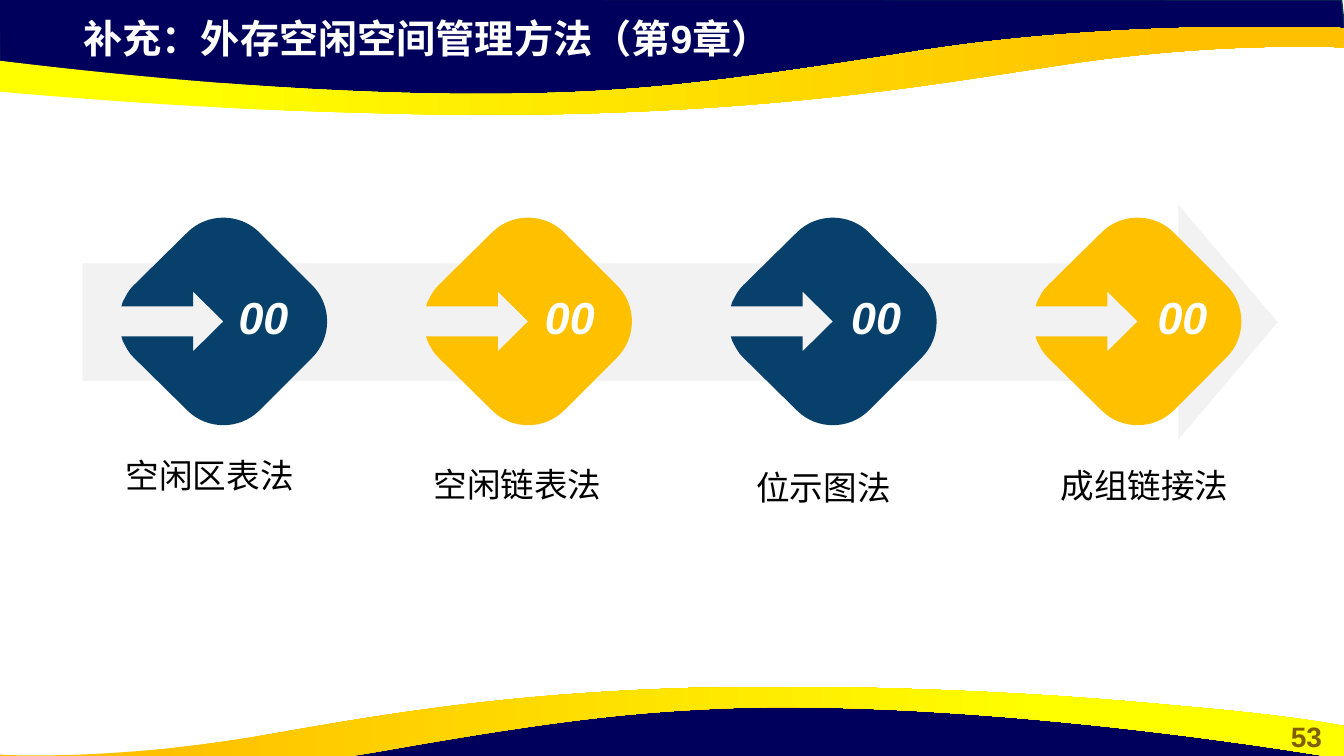
from typing import NamedTuple

from pptx import Presentation
from pptx.dml.color import RGBColor
from pptx.enum.shapes import MSO_SHAPE as Kind
from pptx.enum.text import MSO_ANCHOR as Anchor, MSO_AUTO_SIZE as Fit, PP_ALIGN as Align
from pptx.oxml.ns import qn
from pptx.util import Cm, Pt

NAVY, EDGE, BLUE, GOLD = "00005C", "05304F", "07416B", "FFC000"
YELLOW, GREY, WHITE, BLACK, BROWN = "FFFF00", "F2F2F2", "FFFFFF", "000000", "806000"


class Box(NamedTuple):
    left: float
    top: float
    width: float
    height: float


class Band(NamedTuple):
    """A base outline and the gradient ribbon over it, in cm."""
    base: list
    ribbon: list
    stops: tuple


class Step(NamedTuple):
    label: str
    color: str
    box: Box
    para: dict
    indent: float = 0


# A pair of numbers is a line to a point, six numbers are a Bézier curve.
HEADER = Band(
    [(-0.03, -0.03), (0, 1.78), (7.44, 2.59), (14.2, 2.54), (20.19, 2.24),
     (25.81, 1.27), (31.45, 0.84), (33.91, 0.97), (33.81, 0)],
    [(12.27, 2.9), (11.25, 2.9, 10.19, 2.87, 9.04, 2.84),
     (5.23, 2.74, 2.79, 2.54, 0.91, 2.39), (-2.24, 2.13, -3.3, 1.91, -3.38, 1.91),
     (-3.38, 1.07), (-3.38, 1.07, 5.54, 2.49, 13.13, 2.36),
     (15.9, 2.31, 17.98, 2.11, 23.24, 1.27), (28.47, 0.46, 33.86, 0.71, 33.86, 0.71),
     (33.86, 1.19), (33.78, 1.19), (33.15, 1.17, 30.35, 1.09, 26.8, 1.63),
     (23.32, 2.16, 19.35, 2.87, 12.27, 2.9)],
    ((0.22, YELLOW), (0.89, GOLD)))
FOOTER = Band(
    [(33.86, 20.17), (33.83, 18.39), (26.42, 17.55), (19.63, 17.6), (13.67, 17.93),
     (8.05, 18.87), (2.41, 19.3), (-0.08, 19.2), (0.03, 20.14)],
    [(19.61, 17.3), (20.55, 17.3, 21.51, 17.32, 22.56, 17.35),
     (26.04, 17.45, 28.24, 17.65, 29.95, 17.81), (32.82, 18.06, 33.78, 18.29, 33.86, 18.29),
     (33.86, 19.13), (33.86, 19.13, 25.76, 17.7, 18.85, 17.83),
     (16.31, 17.91, 14.4, 18.08, 9.65, 18.92), (4.88, 19.76, -0.03, 19.51, -0.03, 19.51),
     (-0.03, 19), (0.05, 19.02), (0.64, 19.05, 3.18, 19.1, 6.4, 18.57),
     (9.55, 18.03, 13.18, 17.32, 19.61, 17.3)],
    ((0.11, GOLD), (0.78, YELLOW)))

# Diamond with an arrow cut into it, clockwise from the arrow tip at its middle.
GEM = [(0, 0), (-0.76, -0.75), (-0.76, -0.38), (-2.57, -0.38), (-2.54, -0.48),
       (-2.46, -0.64, -2.39, -0.79, -2.26, -0.91), (-0.91, -2.24),
       (-0.41, -2.74, 0.41, -2.74, 0.91, -2.24), (2.24, -0.91),
       (2.74, -0.41, 2.74, 0.41, 2.24, 0.91), (0.91, 2.24),
       (0.41, 2.74, -0.41, 2.74, -0.91, 2.24), (-2.26, 0.91),
       (-2.39, 0.79, -2.46, 0.64, -2.54, 0.48), (-2.57, 0.38), (-0.76, 0.38), (-0.76, 0.75)]

MID = {"alignment": Align.CENTER, "line_spacing": 1.2}
STEPS = [
    Step("空闲区表法", BLUE, Box(1.65, 11.35, 7.11, 1.45), {}, 1.27),
    Step("空闲链表法", GOLD, Box(9.42, 11.35, 7.24, 1.5), MID),
    Step("位示图法", BLUE, Box(17.35, 11.43, 6.81, 1.37), MID),
    Step("成组链接法", GOLD, Box(25.02, 11.4, 7.65, 2.06), MID),
]


def rgb(code: str) -> RGBColor:
    return RGBColor.from_string(code)


def put(obj, vals: dict) -> None:
    for name, val in vals.items():
        setattr(obj, name, val)


def place(box: Box) -> list:
    return [Cm(n) for n in box]


def paint(shape, color: str) -> None:
    shape.shadow.inherit = False
    shape.fill.solid()
    shape.fill.fore_color.rgb = rgb(color)
    shape.line.fill.background()


def bend(shape, parts: list) -> None:
    """Join each three lines that stand for a curve into one Bézier curve."""
    lines = iter(list(shape._element.iter(qn("a:lnTo"))))
    for part in parts[1:]:
        trio = [next(lines) for _ in range(len(part) // 2)]
        if len(trio) == 3:
            curve = trio[0].makeelement(qn("a:cubicBezTo"))
            trio[0].addprevious(curve)
            for line in trio:
                curve.append(line[0])
                line.getparent().remove(line)


def outline(slide, parts: list, color: str, dx: float = 0, dy: float = 0):
    pts = [(Cm(part[i] + dx), Cm(part[i + 1] + dy))
           for part in parts for i in range(0, len(part), 2)]
    pen = slide.shapes.build_freeform(*pts[0])
    pen.add_line_segments(pts[1:], close=True)
    shape = pen.convert_to_shape()
    bend(shape, parts)
    paint(shape, color)
    return shape


def draw_band(slide, band: Band) -> None:
    base = outline(slide, band.base, NAVY)
    base.line.color.rgb = rgb(EDGE)
    base.line.width = Pt(1)
    fill = outline(slide, band.ribbon, GOLD).fill
    fill.gradient()
    fill.gradient_angle = 0
    for stop, (pos, color) in zip(fill.gradient_stops, band.stops):
        stop.position = pos
        stop.color.rgb = rgb(color)


def write(shape, text: str, color: str, font: dict, para: dict, frame: dict):
    put(shape.text_frame, {"word_wrap": True, "auto_size": Fit.NONE,
                           "vertical_anchor": Anchor.TOP, **frame})
    line = shape.text_frame.paragraphs[0]
    put(line, para)
    run = line.add_run()
    run.text = text
    put(run.font, {"name": "Arial", **font})
    run.font.color.rgb = rgb(color)
    return line


def add_text(slide, box: Box, text: str, color: str, font: dict, para: dict, **frame):
    shape = slide.shapes.add_textbox(*place(box))
    return write(shape, text, color, font, para, frame)


def add_title(slide, text: str) -> None:
    title = slide.shapes.title
    put(title, dict(zip(Box._fields, place(Box(1.85, 0.23, 19.51, 1.45)))))
    write(title, text, WHITE, {"size": Pt(28), "bold": True}, {"alignment": Align.LEFT}, {})
    slide.shapes._spTree.append(title._element)  # bring in front of the header


def draw_steps(slide) -> None:
    arrow = slide.shapes.add_shape(Kind.RIGHT_ARROW, *place(Box(2.08, 5.16, 30.12, 5.92)))
    arrow.adjustments[1] = 0.423
    paint(arrow, GREY)
    for i, step in enumerate(STEPS):
        outline(slide, GEM, step.color, 5.63 + 7.68 * i, 8.1)
        add_text(slide, Box(5.66 + 7.72 * i, 7.04, 1.96, 1.88), "00", WHITE,
                 {"size": Pt(32), "bold": True, "italic": True},
                 {"alignment": Align.CENTER}, vertical_anchor=Anchor.MIDDLE)
        line = add_text(slide, step.box, step.label, BLACK, {"size": Pt(24)}, step.para)
        if step.indent:
            line._p.get_or_add_pPr().set("marL", str(Cm(step.indent)))


def main() -> None:
    deck = Presentation()
    put(deck, {"slide_width": Cm(33.87), "slide_height": Cm(19.05)})
    slide = deck.slides.add_slide(deck.slide_layouts[5])
    for band in (HEADER, FOOTER):
        draw_band(slide, band)
    add_text(slide, Box(32, 18.01, 1.85, 1.12), "53", BROWN,
             {"size": Pt(20), "bold": True}, {"alignment": Align.CENTER})
    add_title(slide, "补充：外存空闲空间管理方法（第9章）")
    draw_steps(slide)
    deck.save("out.pptx")


if __name__ == "__main__":
    main()
